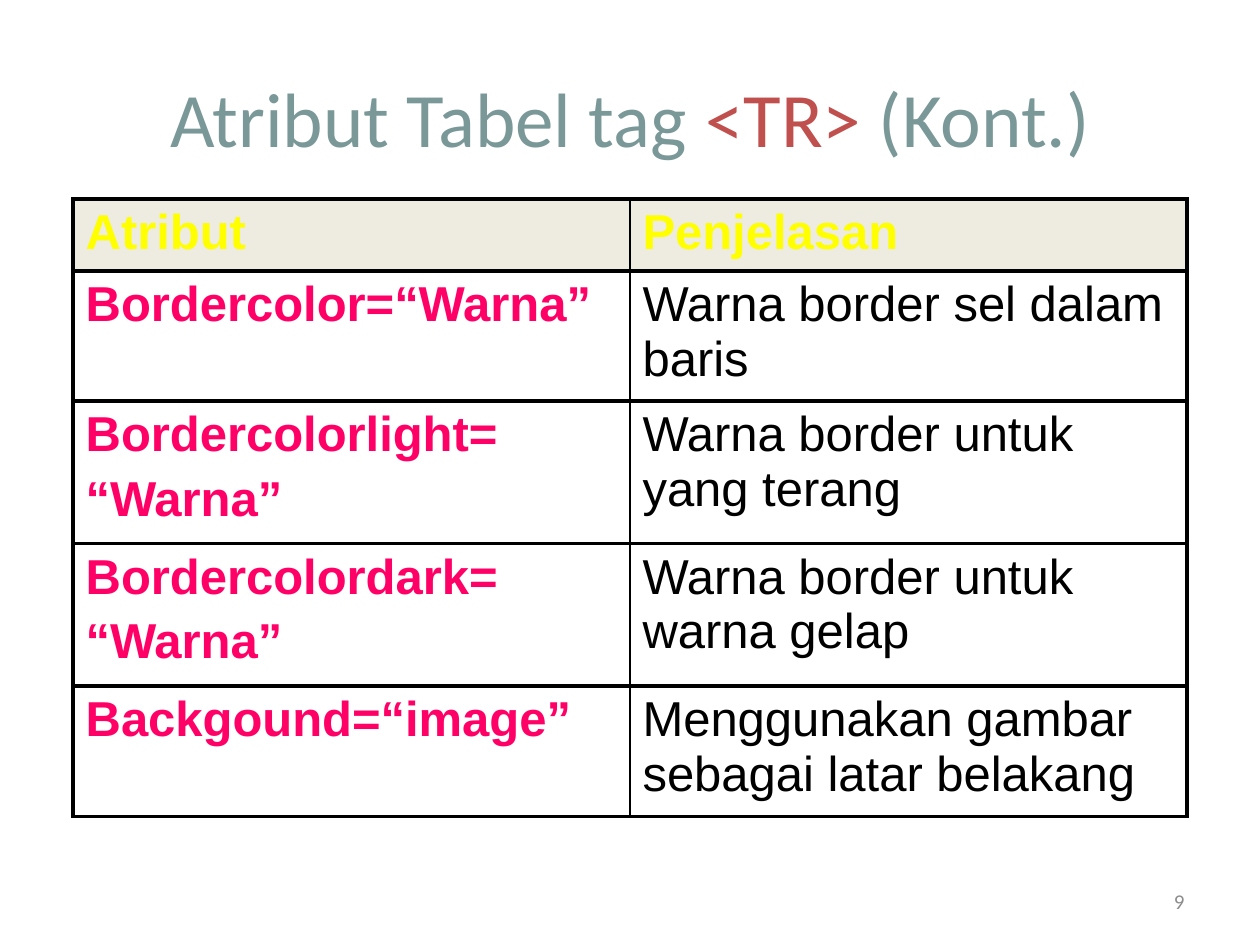
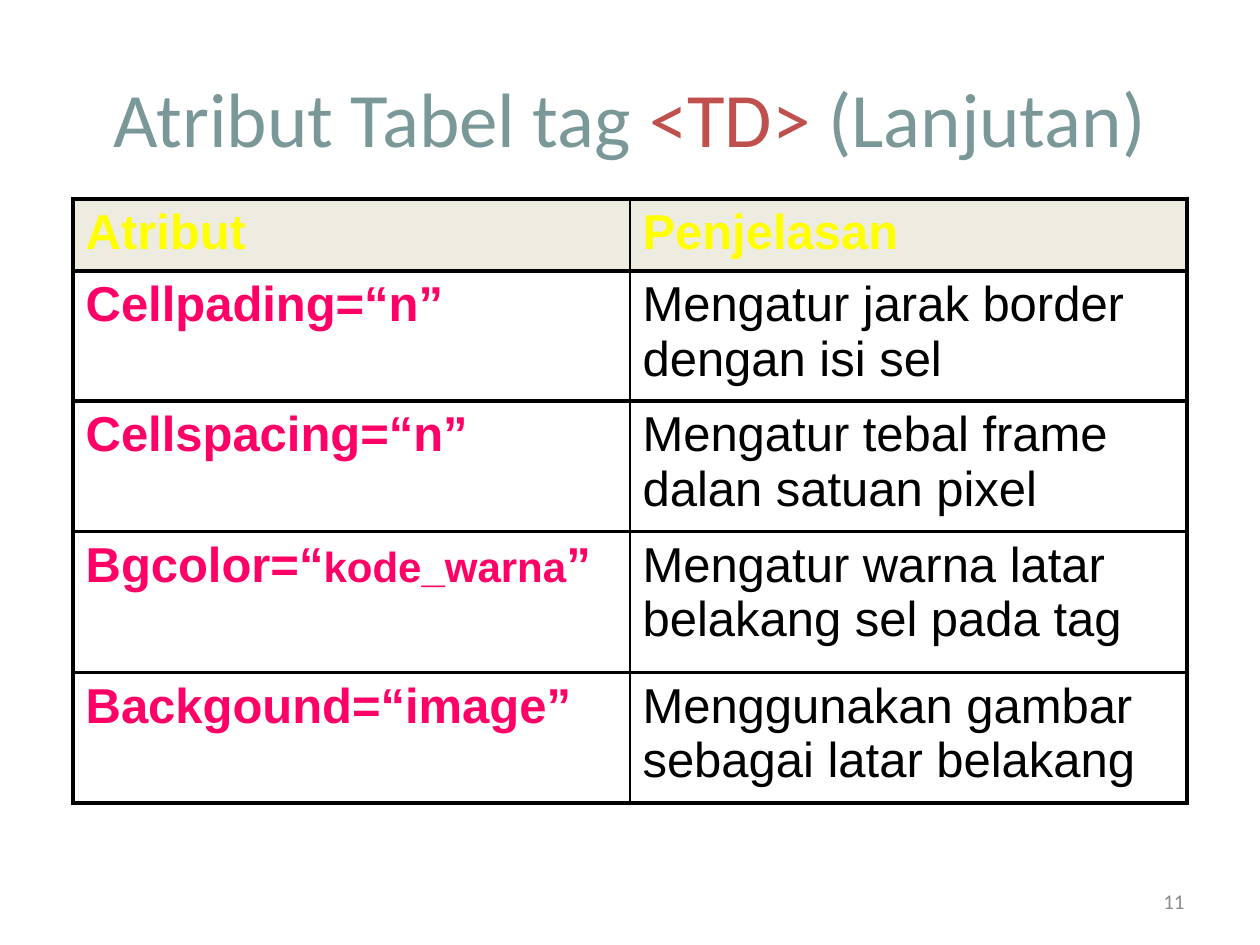
from dataclasses import dataclass

from lxml.etree import SubElement
from pptx import Presentation
from pptx.dml.color import RGBColor
from pptx.enum.text import MSO_ANCHOR, PP_ALIGN
from pptx.oxml.ns import qn
from pptx.util import Inches, Pt

COLORS = {
    "title": "7B9899",
    "tag": "C0504D",
    "number": "8C8C8C",
    "header_fill": "EEECE1",
    "header_text": "FFFF00",
    "attribute": "FF0066",
    "text": "000000",
    "border": "000000",
    "background": "FFFFFF",
}
TITLE_FONT = "Calibri"
TABLE_FONT = "Arial"
TABLE_SIZE = 28
COLUMN_WIDTH = 4.42
OUTER_BORDER = 2.25
COLUMN_BORDER = 1
HEADERS = ("Atribut", "Penjelasan")
TITLE_START = "Atribut Tabel tag "
TITLE_ONLY_LAYOUT = 5


@dataclass(frozen=True)
class Piece:
    """A stretch of attribute text with its own size."""
    text: str
    size: float = TABLE_SIZE


@dataclass(frozen=True)
class AttributeRow:
    """An attribute, as paragraphs of pieces, and what it does."""
    height: float
    attribute: tuple[tuple[Piece, ...], ...]
    explanation: str


@dataclass(frozen=True)
class AttributeSlide:
    number: int
    tag: str
    title_end: str
    rows: tuple[AttributeRow, ...]


def lines(*texts: str) -> tuple[tuple[Piece, ...], ...]:
    """One paragraph for each text, in the usual size."""
    return tuple((Piece(text),) for text in texts)


BACKGROUND_ROW = AttributeRow(
    1.03, lines("Backgound=“image”"), "Menggunakan gambar sebagai latar belakang")

SLIDES = (
    AttributeSlide(9, "<TR>", " (Kont.)", (
        AttributeRow(1.03, lines("Bordercolor=“Warna”"), "Warna border sel dalam baris"),
        AttributeRow(1.13, lines("Bordercolorlight=", "“Warna”"),
                     "Warna border untuk yang terang"),
        AttributeRow(1.13, lines("Bordercolordark=", "“Warna”"),
                     "Warna border untuk warna gelap"),
        BACKGROUND_ROW,
    )),
    AttributeSlide(11, "<TD>", " (Lanjutan)", (
        AttributeRow(1.03, lines("Cellpading=“n”"), "Mengatur jarak border dengan isi sel"),
        AttributeRow(0.97, lines("Cellspacing=“n”"),
                     "Mengatur tebal frame dalan satuan pixel"),
        AttributeRow(1.12, ((Piece("Bgcolor=“"), Piece("kode_warna", 24), Piece("”")),),
                     "Mengatur warna latar belakang sel pada tag"),
        BACKGROUND_ROW,
    )),
)


def add_text(paragraph, text: str, *, color: str, size: float,
             font: str = TITLE_FONT, bold: bool = False) -> None:
    run = paragraph.add_run()
    run.text = text
    run.font.name = font
    run.font.size = Pt(size)
    run.font.bold = bold
    run.font.color.rgb = RGBColor.from_string(COLORS[color])


def place(shape, left: float, top: float, width: float, height: float) -> None:
    shape.left, shape.top = Inches(left), Inches(top)
    shape.width, shape.height = Inches(width), Inches(height)


def add_title(slide, content: AttributeSlide) -> None:
    title = slide.shapes.title
    place(title, 0.5, 0.3, 9, 1.25)
    title.text_frame.vertical_anchor = MSO_ANCHOR.MIDDLE
    paragraph = title.text_frame.paragraphs[0]
    paragraph.alignment = PP_ALIGN.CENTER
    for text, color in ((TITLE_START, "title"), (content.tag, "tag"),
                        (content.title_end, "title")):
        add_text(paragraph, text, color=color, size=44)


def add_page_number(slide, number: int) -> None:
    box = slide.shapes.add_textbox(Inches(7.17), Inches(6.95), Inches(2.33), Inches(0.4))
    box.text_frame.word_wrap = True
    box.text_frame.vertical_anchor = MSO_ANCHOR.MIDDLE
    paragraph = box.text_frame.paragraphs[0]
    paragraph.alignment = PP_ALIGN.RIGHT
    add_text(paragraph, str(number), color="number", size=12)


def set_borders(cell, column: int) -> None:
    """Thick lines all round, with a thin one between the two columns."""
    inner_side = "R" if column == 0 else "L"
    properties = cell._tc.get_or_add_tcPr()
    for side in "LRTB":
        width = COLUMN_BORDER if side == inner_side else OUTER_BORDER
        line = SubElement(properties, qn(f"a:ln{side}"), w=str(Pt(width)))
        fill = SubElement(line, qn("a:solidFill"))
        SubElement(fill, qn("a:srgbClr"), val=COLORS["border"])


def fill_cell(cell, paragraphs: tuple[tuple[Piece, ...], ...], *, column: int,
              color: str, fill: str, bold: bool) -> None:
    set_borders(cell, column)
    cell.fill.solid()
    cell.fill.fore_color.rgb = RGBColor.from_string(COLORS[fill])
    frame = cell.text_frame
    for index, pieces in enumerate(paragraphs):
        paragraph = frame.add_paragraph() if index else frame.paragraphs[0]
        if index:
            paragraph.space_before = Pt(0.2 * TABLE_SIZE)
        for piece in pieces:
            add_text(paragraph, piece.text, color=color, size=piece.size,
                     font=TABLE_FONT, bold=bold)


def add_attribute_table(slide, rows: tuple[AttributeRow, ...]) -> None:
    heights = [0.57] + [row.height for row in rows]
    table = slide.shapes.add_table(
        len(heights), len(HEADERS), Inches(0.58), Inches(1.58),
        Inches(COLUMN_WIDTH * len(HEADERS)), Inches(sum(heights))).table
    table.first_row = table.horz_banding = False
    for table_row, height in zip(table.rows, heights):
        table_row.height = Inches(height)
    for column, header in enumerate(HEADERS):
        table.columns[column].width = Inches(COLUMN_WIDTH)
        fill_cell(table.cell(0, column), lines(header), column=column,
                  color="header_text", fill="header_fill", bold=True)
    for index, row in enumerate(rows, start=1):
        fill_cell(table.cell(index, 0), row.attribute, column=0,
                  color="attribute", fill="background", bold=True)
        fill_cell(table.cell(index, 1), lines(row.explanation), column=1,
                  color="text", fill="background", bold=False)


def main() -> None:
    presentation = Presentation()
    presentation.slide_width, presentation.slide_height = Inches(10), Inches(7.5)
    for content in SLIDES:
        slide = presentation.slides.add_slide(presentation.slide_layouts[TITLE_ONLY_LAYOUT])
        add_title(slide, content)
        add_page_number(slide, content.number)
        add_attribute_table(slide, content.rows)
    presentation.save("out.pptx")


if __name__ == "__main__":
    main()
